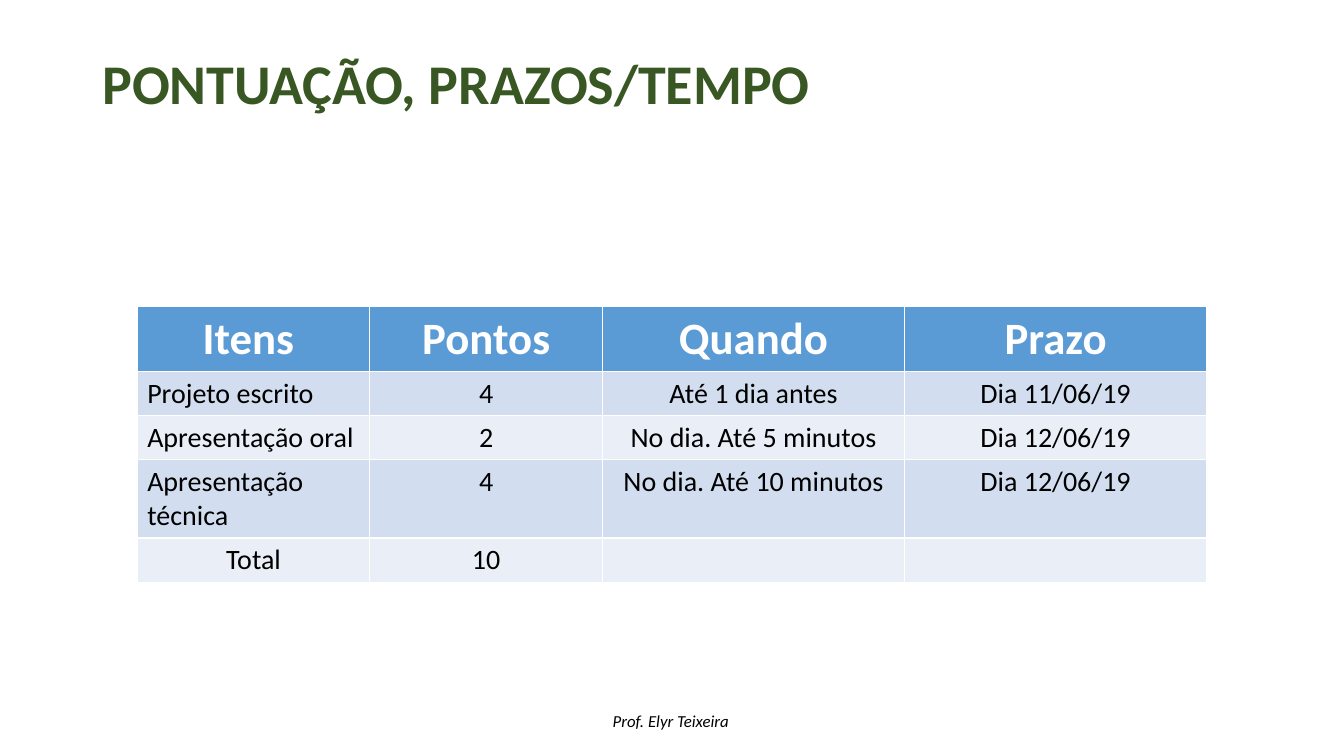
import pptx
import pptx.dml.color
import pptx.enum.text
import pptx.util

Pt = pptx.util.Pt
ALIGN = pptx.enum.text.PP_ALIGN
ANCHOR = pptx.enum.text.MSO_ANCHOR

TITLE = "PONTUAÇÃO, PRAZOS/TEMPO"
AUTHOR = "Prof. Elyr Teixeira"
HEADINGS = ("Itens ", "Pontos", "Quando", "Prazo")
ITEMS = [
    ("Projeto escrito", "4", "Até 1 dia antes", "Dia 11/06/19"),
    ("Apresentação oral", "2", "No dia. Até 5 minutos", "Dia 12/06/19"),
    ("Apresentação técnica", "4", "No dia. Até 10 minutos", "Dia 12/06/19"),
]
TOTAL = ("Total", "10", "", "")

COLUMN_WIDTHS = (166.2, 166.2, 215.8, 215.8)
HEADING_HEIGHT, LINE_HEIGHT, TWO_LINE_HEIGHT = 46.2, 31.6, 56
ROW_HEIGHTS = (HEADING_HEIGHT, LINE_HEIGHT, LINE_HEIGHT, TWO_LINE_HEIGHT, LINE_HEIGHT)
HEADING_FILL = "5B9BD5"
BAND_FILLS = ("D2DEEF", "EAEFF7")


def color(value):
    return pptx.dml.color.RGBColor.from_string(value)


def style(paragraph, size, ink, bold=False, italic=False, align=ALIGN.LEFT):
    font = paragraph.font
    font.name, font.size = "Calibri", Pt(size)
    font.bold, font.italic = bold, italic
    font.color.rgb = color(ink)
    paragraph.alignment = align


def add_text(slide, text, left, top, width, height, wrap):
    frame = slide.shapes.add_textbox(Pt(left), Pt(top), Pt(width), Pt(height)).text_frame
    frame.word_wrap = wrap
    frame.text = text
    return frame


def add_schedule(slide):
    rows = [HEADINGS, *ITEMS, TOTAL]
    schedule = slide.shapes.add_table(
        len(rows), len(HEADINGS), Pt(98), Pt(219),
        Pt(sum(COLUMN_WIDTHS)), Pt(sum(ROW_HEIGHTS))).table
    for column, width in zip(schedule.columns, COLUMN_WIDTHS):
        column.width = Pt(width)
    for r, (entries, height) in enumerate(zip(rows, ROW_HEIGHTS)):
        schedule.rows[r].height = Pt(height)
        heading = r == 0
        for c, entry in enumerate(entries):
            cell = schedule.cell(r, c)
            cell.text = entry
            cell.fill.solid()
            cell.fill.fore_color.rgb = color(HEADING_FILL if heading else BAND_FILLS[(r - 1) % 2])
            is_item = c == 0 and entries in ITEMS
            style(cell.text_frame.paragraphs[0], 32 if heading else 20,
                  "FFFFFF" if heading else "000000", bold=heading,
                  align=ALIGN.LEFT if is_item else ALIGN.CENTER)


def main():
    deck = pptx.Presentation()
    deck.slide_width, deck.slide_height = Pt(960), Pt(540)
    slide = deck.slides.add_slide(deck.slide_layouts[6])

    author = add_text(slide, AUTHOR, 430.6, 504, 98.6, 21.6, False)
    style(author.paragraphs[0], 12, "000000", italic=True)

    title = add_text(slide, TITLE, 66, 16.6, 828, 90.7, True)
    title.vertical_anchor = ANCHOR.MIDDLE
    title.paragraphs[0].line_spacing = 0.9
    style(title.paragraphs[0], 40, "385723", bold=True)

    add_schedule(slide)
    deck.save("out.pptx")


if __name__ == "__main__":
    main()
